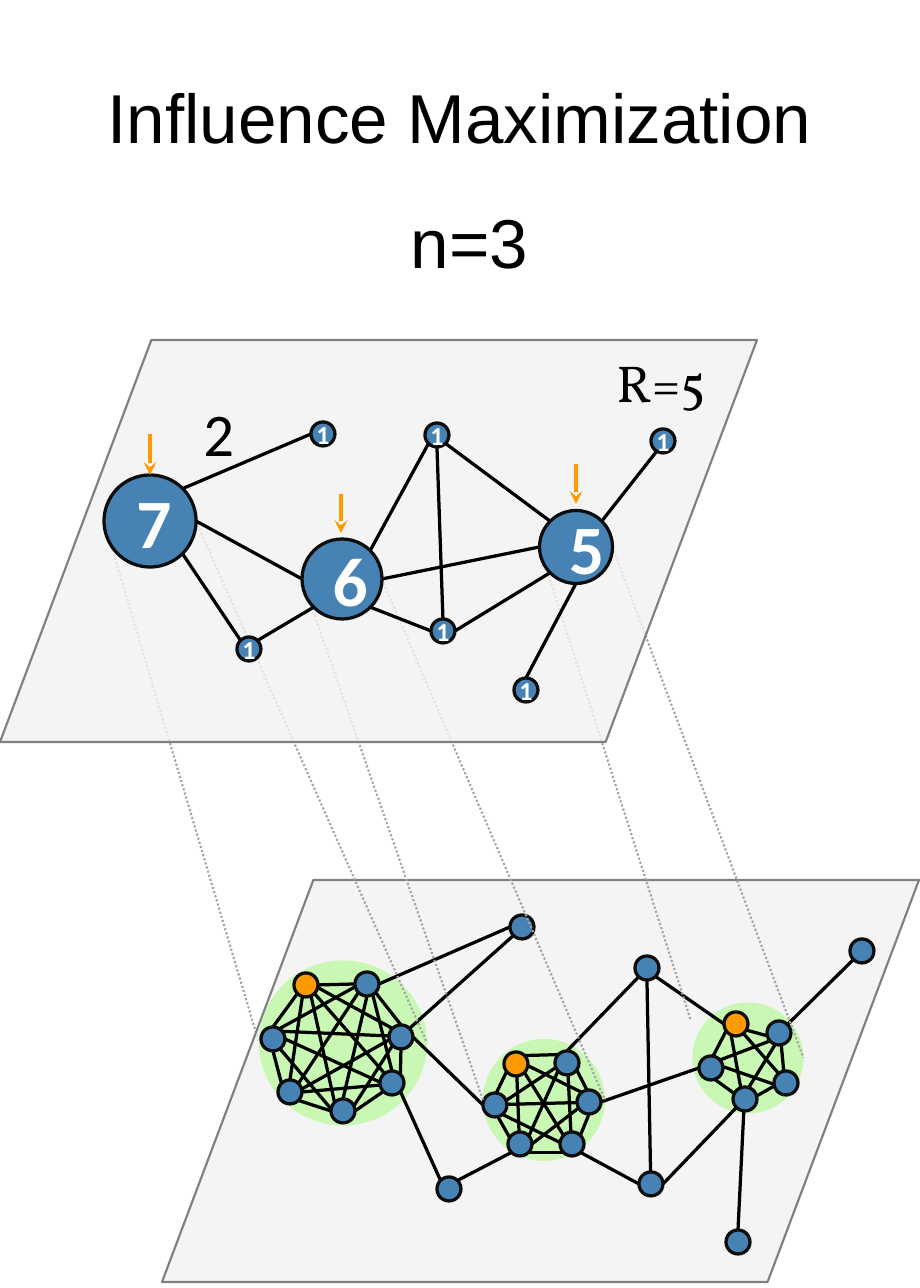
import pptx
import pptx.util
import pptx.dml.color
import pptx.enum.dml
import pptx.enum.shapes
import pptx.enum.text
import pptx.oxml
import pptx.oxml.ns
from lxml import etree

SHAPE = pptx.enum.shapes.MSO_SHAPE
ALIGN = pptx.enum.text.PP_ALIGN
ANCHOR = pptx.enum.text.MSO_ANCHOR
DOTS = pptx.enum.dml.MSO_LINE.ROUND_DOT
BLUE, ORANGE, BLACK, WHITE = "4682B4", "FF9900", "000000", "FFFFFF"
INK, GRAY, PANE, EDGE, GREEN = "0D0D0D", "A5A5A5", "F2F2F2", "808080", "66FF21"
DOT = 24  # diameter of a small node


def px(n):
    return pptx.util.Emu(round(n * 914400 / 155.7))


def color(code):
    return pptx.dml.color.RGBColor.from_string(code)


def sub(parent, tag, **attrs):
    return etree.SubElement(parent, pptx.oxml.ns.qn(tag), **attrs)


class Page:
    def __init__(self, deck):
        self.slide = deck.slides.add_slide(deck.slide_layouts[5])
        self.shapes = self.slide.shapes

    def words(self, shape, text, size, font, tint=BLACK, align=ALIGN.CENTER, bold=False):
        frame = shape.text_frame
        frame.word_wrap = True
        para = frame.paragraphs[0]
        para.text, para.alignment = text, align
        face = para.font
        face.name, face.size, face.bold = font, pptx.util.Pt(size), bold
        face.color.rgb = color(tint)
        return frame

    def title(self, box, text):
        shape = self.shapes.title
        shape.left, shape.top, shape.width, shape.height = map(px, box)
        frame = self.words(shape, text, 32, "Arial")
        frame.vertical_anchor = ANCHOR.TOP
        frame.auto_size = pptx.enum.text.MSO_AUTO_SIZE.NONE

    def label(self, box, text, size, font, align=ALIGN.LEFT):
        shape = self.shapes.add_textbox(*map(px, box))
        self.words(shape, text, size, font, align=align)

    def shape(self, kind, box, fill, line=None, width=1.5, alpha=None):
        shape = self.shapes.add_shape(kind, *map(px, box))
        shape.shadow.inherit = False
        shape.fill.solid()
        shape.fill.fore_color.rgb = color(fill)
        if alpha:
            tone = shape._element.spPr.find(".//" + pptx.oxml.ns.qn("a:srgbClr"))
            sub(tone, "a:alpha", val=str(alpha * 1000))
        if line:
            shape.line.color.rgb = color(line)
            shape.line.width = pptx.util.Pt(width)
        else:
            shape.line.fill.background()
        return shape

    def plane(self, x, y):
        self.shape(SHAPE.FLOWCHART_DATA, (x, y, 757, 402), PANE, EDGE, 1, 80)

    def oval(self, spot, fill, line=None, alpha=None):
        x, y, w, h = spot
        return self.shape(SHAPE.OVAL, (x - w / 2, y - h / 2, w, h), fill, line, alpha=alpha)

    def node(self, spot, fill=BLUE, text=None):
        shape = self.oval(spot, fill, INK)
        if text:
            size = 12 if spot[2] == DOT else 32
            frame = self.words(shape, text, size, "Calibri", WHITE, bold=True)
            frame.vertical_anchor = ANCHOR.MIDDLE
            frame.margin_left = frame.margin_right = px(19)
            frame.margin_top = frame.margin_bottom = px(9)

    def line(self, start, end, tint=BLACK, width=1.5, dash=None, head=False):
        kind = pptx.enum.shapes.MSO_CONNECTOR.STRAIGHT
        line = self.shapes.add_connector(kind, *map(px, (*start, *end)))
        line.line.color.rgb = color(tint)
        line.line.width = pptx.util.Pt(width)
        if dash:
            line.line.dash_style = dash
        frame = line._element.spPr
        if head:
            sub(frame.find(pptx.oxml.ns.qn("a:ln")), "a:tailEnd", type="stealth")
        sub(frame, "a:effectLst")

    def links(self, pairs, **style):
        for pair in pairs.split():
            start, end = map(port, pair.split("-"))
            self.line(start, end, **style)


# Nodes by group: centre, then size; the first of each cluster is the seed
groups = {
    "a": [(306, 985), (367, 984), (401, 1037), (392, 1083), (343, 1111),
          (290, 1092), (273, 1039)],
    "b": [(516, 1064), (567, 1063), (589, 1102), (572, 1144), (520, 1144), (495, 1105)],
    "c": [(736, 1024), (779, 1033), (786, 1083), (745, 1099), (711, 1068)],
    "l": [(522, 927), (647, 968), (651, 1184), (449, 1189), (862, 951), (738, 1242)],
    "u": [(150, 521, 92), (342, 579, 80), (576, 547, 73), (323, 434), (437, 435),
          (663, 441), (249, 649), (443, 631), (526, 690)],
}
spots = {}
for group, nodes in groups.items():
    for i, (x, y, *size) in enumerate(nodes, 1):
        span = size[0] if size else DOT
        spots[f"{group}{i}"] = (x, y, span, span)
halos = {"hc": (748, 1058, 111, 111), "hb": (544, 1100, 122, 122), "ha": (343, 1043, 168, 165)}
spots.update(halos, d1=(691, 1021, 0, 0))


def port(key):
    """Point on a node's rim: node key, then compass side."""
    x, y, w, h = spots[key[:2]]
    side = key[2:]
    dx = ("e" in side) - ("w" in side)
    dy = ("s" in side) - ("n" in side)
    reach = 0.5 if len(side) < 2 else 0.35
    return x + dx * w * reach, y + dy * h * reach


deck = pptx.Presentation()
deck.slide_width, deck.slide_height = px(920), px(1288)
page = Page(deck)
dotted = dict(tint=GRAY, width=1, dash=DOTS)

# Headings
page.title((0, 67, 920, 100), "Influence Maximization")
page.label((319, 192, 282, 100), " n=3", 32, "Arial", ALIGN.CENTER)

# Lower plane: full network
page.links("u1w-haw", **dotted)
page.plane(162, 880)
for spot in halos.values():
    page.oval(spot, GREEN, alpha=30)
page.links("""
    a2e-l1w a3e-b6w b3e-c5w b2n-l2ne b4se-l3w l2se-c1w c4sw-l3e l2s-l3s
    c2ne-l5sw l1sw-a3ne c4n-l6n a4se-l4nw l4ne-b5sw
    c2ne-c4sw c5sw-c1n c5w-c2e c5w-c4se c3se-c5nw c2se-c1w c4sw-c3ne
    c1nw-c4s c1nw-c3se c2n-c3s
    a2n-a4n a2sw-a6ne a7n-a1sw a3sw-a5s a7s-a6nw a5w-a6se a2w-a1e
    a5n-a2s a5e-a4sw a3s-a4ne a1n-a5nw a3e-a7nw a7w-a2ne a1n-a6n
    a3n-a2se a7e-a4se a7nw-a5s a3nw-a1nw a4e-a6e a6sw-a3ne a1se-a4se
    b1n-b5s b1nw-b3e b2ne-b6sw b6nw-b5s b3e-b6w b4se-b6w b2nw-b1ne
    b4s-b3ne b5se-b4sw b2n-b4s b1se-b4nw b5s-b2n b3ne-b5e b2n-b3se b1n-b6sw
""")
for key, spot in spots.items():
    if key[0] in "abcl":
        page.node(spot, ORANGE if key in ("a1", "b1", "c1") else BLUE)

# Projections between the planes
page.links("u3e-hce u1e-hae u2w-hbw u2e-hbe u3w-d1", **dotted)

# Upper plane: merged network
page.plane(0, 340)
page.links("""
    u5s-u8n u3ne-u6ne u5se-u3nw u3s-u9n u3sw-u8e u2ne-u5sw
    u1e-u2w u1ne-u4w u2e-u3w u1se-u7nw u2se-u8w u7ne-u2sw
""")
for i, text in enumerate("765111111", 1):
    page.node(spots[f"u{i}"], text=text)
page.label((188, 388, 101, 89), "2", 28, "Calibri")
for x, top, end in [(150, 434, 475), (341, 494, 533), (576, 464, 504)]:
    page.line((x, top), (x, end), ORANGE, head=True)
page.label((601, 343, 145, 78), "R=5", 24, "Vollkorn")

deck.save("out.pptx")
